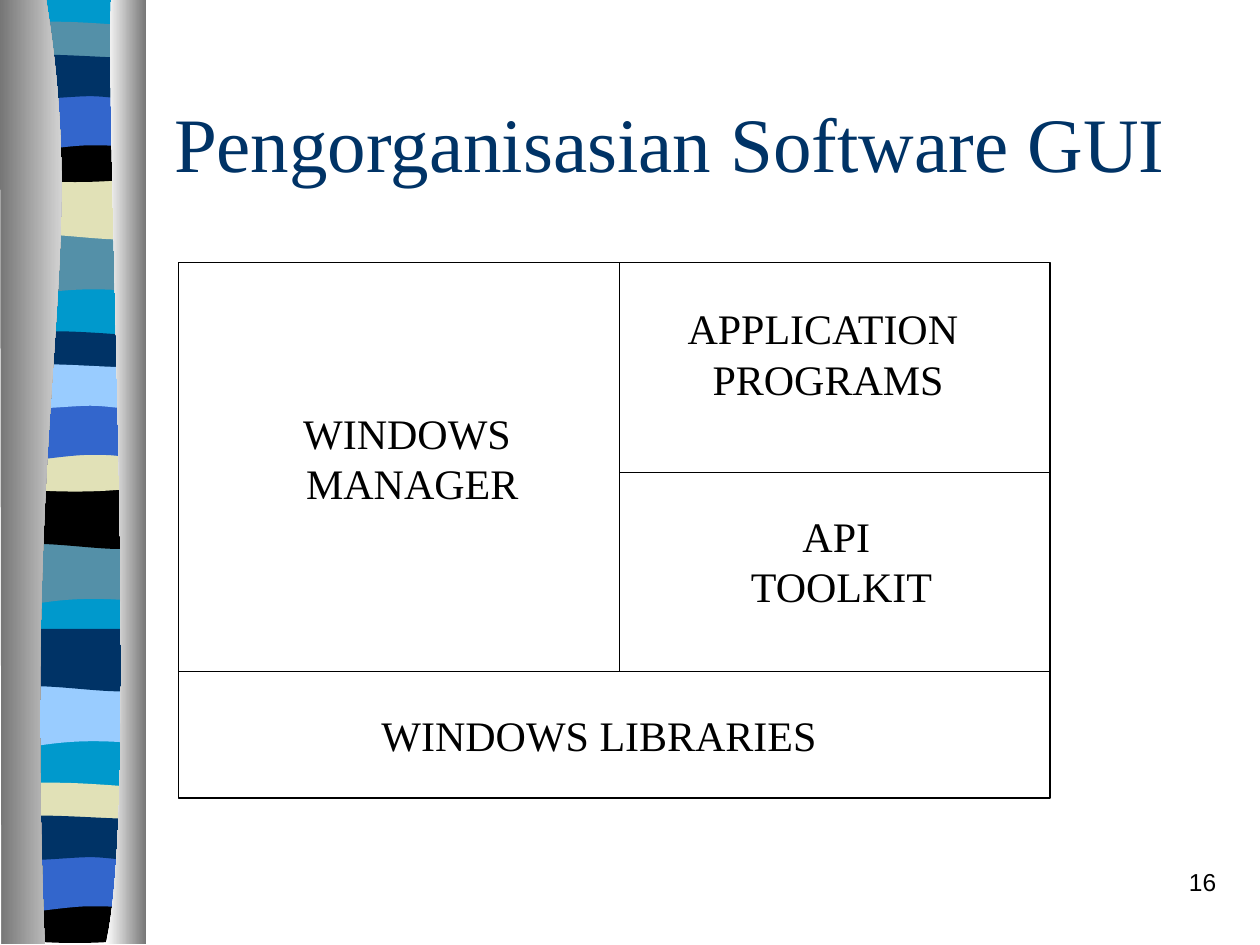
from dataclasses import dataclass

from lxml.etree import SubElement
from pptx import Presentation
from pptx.dml.color import RGBColor
from pptx.enum.shapes import MSO_CONNECTOR, MSO_SHAPE
from pptx.enum.text import MSO_ANCHOR, MSO_AUTO_SIZE, PP_ALIGN
from pptx.oxml.ns import qn
from pptx.shapes.autoshape import Shape
from pptx.slide import Slide
from pptx.util import Cm, Pt

COLOURS = {
    "navy": "003366", "blue": "3366CC", "sky": "99CCFF", "teal": "0099CC",
    "steel": "5490A8", "sand": "E1E1B7", "black": "000000",
    "shade": "767676", "white": "FFFFFF",
}

Points = tuple[tuple[float, float], ...]
FLAT: Points = ((0, 0), (2.74, 0))


@dataclass
class Band:
    """Ribbon stripe: Bezier edges, offset in its cycle, colour in each cycle."""
    offset: float
    colours: tuple[str, str, str]
    top: Points
    bottom: Points
    cycles: tuple[float, float, float] = (0.41, 6.65, 15.75)


@dataclass
class Label:
    """Text box with its place, lines and look."""
    place: tuple[float, float, float, float]
    lines: tuple[str, ...]
    size: int = 24
    colour: str = "black"
    align: PP_ALIGN = PP_ALIGN.CENTER
    anchor: MSO_ANCHOR = MSO_ANCHOR.TOP
    font: str = "Times New Roman"
    wrap: bool = False


BANDS = (
    Band(4.29, ("steel", "steel", "sky"), FLAT,
         ((0, 1.19), (0.46, 1.4), (0.84, 0.99), (2.74, 1.19)), (0.41, 6.65, 9.52)),
    Band(3.16, ("sand", "black", "navy"), FLAT,
         ((0, 1.19), (0.84, 1.04), (2.29, 1.4), (2.74, 1.19)), (0.41, 6.65, 9.52)),
    Band(0, ("steel", "navy", "sand"),
         ((0, 0.13), (0.15, 0), (0.58, 0.03), (1.04, 0.03),
          (1.5, 0.03), (2.39, 0.1), (2.74, 0.13)),
         ((0, 0.74), (0.46, 0.84), (2.29, 0.84), (2.74, 0.74))),
    Band(2.33, ("black", "sand", "black"),
         ((0, 0), (1.68, 0.13), (2.16, 0), (2.74, 0)),
         ((0, 0.81), (0.46, 0.97), (2.29, 0.97), (2.74, 0.81))),
    Band(1.48, ("blue", "blue", "blue"), FLAT,
         ((0, 1.19), (0.41, 1.19), (1.22, 1.04), (1.68, 1.04),
          (2.13, 1.04), (2.31, 1.04), (2.74, 1.19))),
    Band(0.62, ("navy", "sky", "navy"),
         ((0, 0.13), (0.38, 0), (1.85, 0.13), (2.31, 0.13),
          (2.77, 0.13), (2.64, 0.13), (2.74, 0.13)),
         ((0, 0.91), (0.28, 1.04), (1.22, 0.91), (1.68, 0.91),
          (2.13, 0.91), (2.57, 1.04), (2.74, 0.91))),
)

LEFT, MIDDLE, RIGHT = 3.6, 12.49, 21.17
TOP, SPLIT, FLOOR, BOTTOM = 5.29, 9.53, 13.54, 16.09
DIVIDERS = (
    (LEFT, FLOOR, RIGHT, FLOOR),
    (MIDDLE, TOP, MIDDLE, FLOOR),
    (MIDDLE, SPLIT, RIGHT, SPLIT),
)
LABELS = (
    Label((3.26, 1.27, 21.59, 3.18), ("Pengorganisasian Software GUI",), 44,
          "navy", PP_ALIGN.LEFT, MSO_ANCHOR.MIDDLE, wrap=True),
    Label((7.44, 14.17, 9.4, 1.27), ("WINDOWS LIBRARIES",), align=PP_ALIGN.LEFT),
    Label((14.88, 10.16, 4.17, 2.29), ("API ", "TOOLKIT")),
    Label((13.56, 5.98, 6.27, 2.29), ("APPLICATION ", "PROGRAMS")),
    Label((5.86, 8.09, 4.9, 2.29), ("WINDOWS ", "MANAGER")),
    Label((19.49, 17.35, 5.28, 1.27), ("16",), 14, align=PP_ALIGN.RIGHT,
          font="Arial", wrap=True),
)


def colour_of(name: str) -> RGBColor:
    """Return the named colour."""
    return RGBColor.from_string(COLOURS[name])


def bend(nodes: list) -> None:
    """Turn each three line nodes into one cubic Bezier node."""
    for first, second, third in zip(nodes[::3], nodes[1::3], nodes[2::3]):
        first.tag_holder = None


def draw_outline(page: Slide, top: Points, bottom: Points,
                 left: float = 0, offset: float = 0) -> Shape:
    """Draw a closed outline between two edges, curved where they have controls."""
    places = [(Cm(left + x), Cm(offset + y)) for x, y in top + bottom[::-1]]
    builder = page.shapes.build_freeform(*places[0], scale=1.0)
    builder.add_line_segments(places[1:], close=True)
    outline = builder.convert_to_shape()
    nodes = list(outline._element.iter(qn("a:lnTo")))
    for edge, start in ((top, 0), (bottom, len(top))):
        if len(edge) > 2:
            for index in range(start, start + len(edge) - 1, 3):
                curve = nodes[index].makeelement(qn("a:cubicBezTo"))
                nodes[index].addprevious(curve)
                for node in nodes[index:index + 3]:
                    curve.append(node[0])
                    node.getparent().remove(node)
    outline.shadow.inherit = False
    outline.line.fill.background()
    return outline


def paint(outline: Shape, colour: str) -> None:
    """Fill an outline with one colour."""
    outline.fill.solid()
    outline.fill.fore_color.rgb = colour_of(colour)


def shade(curtain: Shape, colours: tuple[str, str]) -> None:
    """Shade a curtain from left to right."""
    curtain.fill.gradient()
    curtain.fill.gradient_angle = 0
    for stop, colour in zip(curtain.fill.gradient_stops, colours):
        stop.color.rgb = colour_of(colour)


def draw_ribbon(page: Slide) -> None:
    """Draw the striped ribbon between its two curtains."""
    paint(draw_outline(page, FLAT, ((0, 18.97), (2.74, 18.97)), 0.14), "teal")
    for cycle in range(3):
        for band in BANDS:
            top = band.cycles[cycle] + band.offset
            paint(draw_outline(page, band.top, band.bottom, 0.14, top),
                  band.colours[cycle])
    left_edge = ((0.93, 0), (1.82, 5.49), (0.45, 7.52), (0.9, 19.03))
    shade(draw_outline(page, left_edge, ((0, 0), (0.03, 19.03))), ("shade", "white"))
    right_edge = ((2.24, 0), (2.13, 3.18), (2.82, 16.41), (2.13, 19.03))
    shade(draw_outline(page, right_edge, ((2.95, 0), (2.95, 19.03))), ("white", "shade"))


def draw_diagram(page: Slide) -> None:
    """Draw the frame and its dividing lines."""
    frame = page.shapes.add_shape(
        MSO_SHAPE.RECTANGLE, Cm(LEFT), Cm(TOP), Cm(RIGHT - LEFT), Cm(BOTTOM - TOP))
    frame.shadow.inherit = False
    frame.fill.background()
    dividers = [
        page.shapes.add_connector(MSO_CONNECTOR.STRAIGHT, *(Cm(value) for value in ends))
        for ends in DIVIDERS]
    for item in (frame, *dividers):
        item.line.color.rgb = colour_of("black")
        item.line.width = Pt(0.75)
    for divider in dividers:
        SubElement(divider._element.spPr, qn("a:effectLst"))


def draw_label(page: Slide, label: Label) -> None:
    """Draw a text box, one paragraph a line."""
    box = page.shapes.add_textbox(*(Cm(value) for value in label.place))
    frame = box.text_frame
    frame.word_wrap = label.wrap
    frame.auto_size = MSO_AUTO_SIZE.NONE if label.wrap else MSO_AUTO_SIZE.SHAPE_TO_FIT_TEXT
    frame.vertical_anchor = label.anchor
    for index, line in enumerate(label.lines):
        para = frame.add_paragraph() if index else frame.paragraphs[0]
        para.alignment = label.align
        span = para.add_run()
        span.text = line
        span.font.name = label.font
        span.font.size = Pt(label.size)
        span.font.color.rgb = colour_of(label.colour)


def main() -> None:
    """Build and save the slide."""
    deck = Presentation()
    deck.slide_width, deck.slide_height = Cm(25.4), Cm(19.05)
    page = deck.slides.add_slide(deck.slide_layouts[6])
    draw_ribbon(page)
    draw_diagram(page)
    for label in LABELS:
        draw_label(page, label)
    deck.save("out.pptx")


if __name__ == "__main__":
    main()
